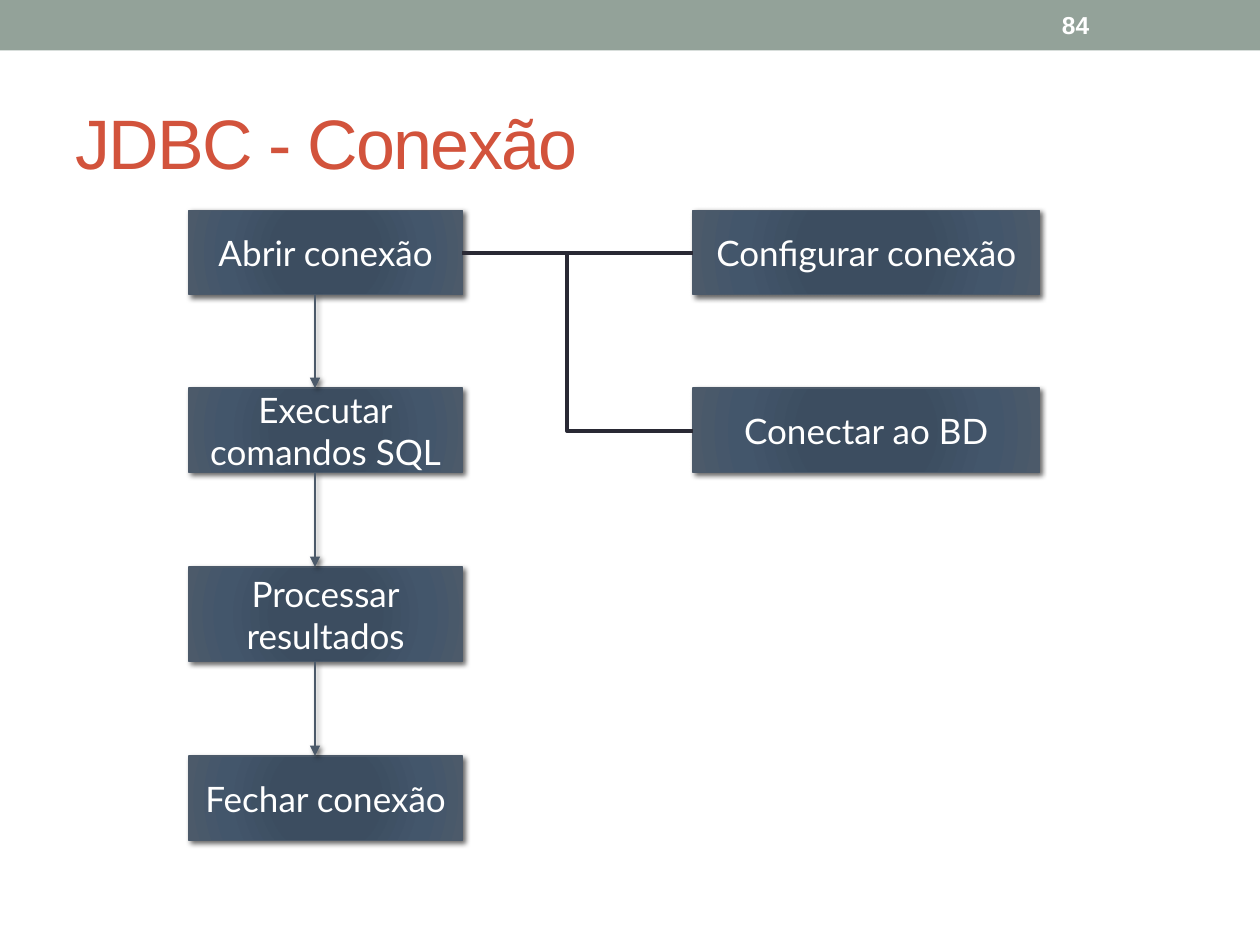
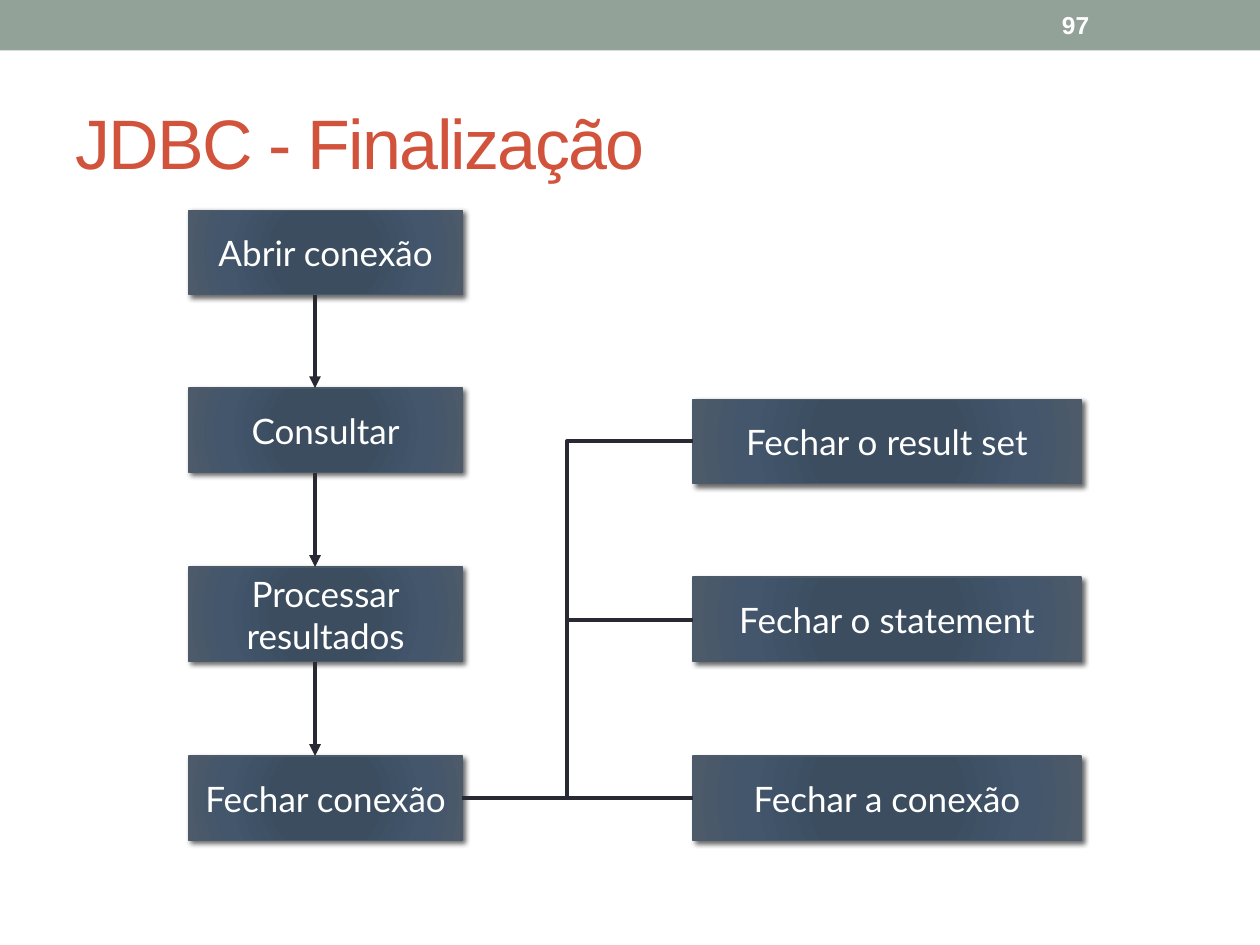
from dataclasses import dataclass
from itertools import pairwise
from typing import Any

import lxml.etree
import pptx
import pptx.dml.color
import pptx.enum.dml
import pptx.enum.shapes
import pptx.enum.text
import pptx.oxml
import pptx.oxml.ns
import pptx.shapes.autoshape
import pptx.slide
import pptx.util

Inches = pptx.util.Inches
Point = tuple[float, float]

COLORS = {
    "band": "93A299",
    "title": "D2533C",
    "white": "FFFFFF",
    "edge": "4C5A6A",
    "link": "292934",
    "shadow": "000000",
}
GRADIENT = {0: "3B4D61", 34: "3C4D60", 70: "43566B", 100: "4C5A6A"}
TITLE_FONT = {"name": "Arial", "size": pptx.util.Pt(40)}
NUMBER_FONT = {"name": "Arial", "size": pptx.util.Pt(14), "bold": True}
STEP_FONT = {"name": "Lato", "size": pptx.util.Pt(20)}
THIN, THICK = 0.75, 2.25
STEP_LEFT, STEP_WIDTH, STEP_HEIGHT, TALL_STEP = 1.5, 2.17, 0.67, 0.75
STEP_TOPS = (1.67, 3.08, 4.5, 6)
ARROW_X, TRUNK_X, DETAIL_LEFT = 2.5, 4.5, 5.5
DRAWING = pptx.oxml.ns.nsdecls("a")


@dataclass(frozen=True)
class Step:
    text: str
    top: float
    left: float = STEP_LEFT
    width: float = STEP_WIDTH
    height: float = STEP_HEIGHT

    @property
    def middle(self) -> float:
        return self.top + self.height / 2

    @property
    def bottom(self) -> float:
        return self.top + self.height


@dataclass(frozen=True)
class Flow:
    title: str
    number: str
    steps: list[Step]
    details: list[Step]
    source: int
    elbows: list[tuple[float, float]]
    arrow_color: str
    arrow_width: float
    arrow_shadow: bool


def rgb(name: str) -> pptx.dml.color.RGBColor:
    return pptx.dml.color.RGBColor.from_string(COLORS[name])


def set_text(box: Any, text: str, font: dict[str, Any], color: str,
             align: Any, wrap: bool) -> None:
    frame = box.text_frame
    frame.word_wrap = wrap
    frame.vertical_anchor = pptx.enum.text.MSO_ANCHOR.MIDDLE
    frame.text = text
    for para in frame.paragraphs:
        para.alignment = align
        for span in para.runs:
            for key, value in font.items():
                setattr(span.font, key, value)
            span.font.color.rgb = rgb(color)


def set_line(shape: Any, color: str, width: float) -> None:
    shape.line.color.rgb = rgb(color)
    shape.line.width = pptx.util.Pt(width)


def set_effects(shape: Any, shadow: bool) -> None:
    properties = shape._element.spPr
    effects = lxml.etree.SubElement(properties, pptx.oxml.ns.qn("a:effectLst"))
    if shadow:
        effects.append(pptx.oxml.parse_xml(
            f'<a:outerShdw {DRAWING} blurRad="{pptx.util.Pt(3)}" '
            f'dist="{pptx.util.Pt(2)}" dir="2700000" algn="br" rotWithShape="0">'
            f'<a:srgbClr val="{COLORS["shadow"]}"><a:alpha val="60000"/>'
            '</a:srgbClr></a:outerShdw>'))


def set_gradient(shape: pptx.shapes.autoshape.Shape) -> None:
    stops = "".join(
        f'<a:gs pos="{place * 1000}"><a:srgbClr val="{color}"/></a:gs>'
        for place, color in GRADIENT.items())
    edges = " ".join(f'{side}="100000"' for side in "ltrb")
    gradient = pptx.oxml.parse_xml(
        f'<a:gradFill {DRAWING} rotWithShape="1"><a:gsLst>{stops}</a:gsLst>'
        f'<a:path path="circle"><a:fillToRect {edges}/></a:path></a:gradFill>')
    shape.fill.background()
    properties = shape._element.spPr
    properties.replace(properties.find(pptx.oxml.ns.qn("a:noFill")), gradient)


def add_rectangle(page: pptx.slide.Slide, left: float, top: float,
                  width: float, height: float) -> pptx.shapes.autoshape.Shape:
    return page.shapes.add_shape(
        pptx.enum.shapes.MSO_SHAPE.RECTANGLE,
        Inches(left), Inches(top), Inches(width), Inches(height))


def add_frame(page: pptx.slide.Slide, flow: Flow) -> None:
    band = add_rectangle(page, 0, 0, 10, 0.4)
    band.fill.solid()
    band.fill.fore_color.rgb = rgb("band")
    band.line.fill.background()
    band.shadow.inherit = False
    left = pptx.enum.text.PP_ALIGN.LEFT
    title = page.shapes.add_textbox(Inches(0.5), Inches(0.58), Inches(9), Inches(1.08))
    set_text(title, flow.title, TITLE_FONT, "title", left, True)
    title.text_frame.paragraphs[0].runs[0].font._element.set("spc", "-100")
    number = page.shapes.add_textbox(Inches(8.33), Inches(0.02), Inches(1.17), Inches(0.36))
    set_text(number, flow.number, NUMBER_FONT, "white", left, True)


def add_step(page: pptx.slide.Slide, step: Step) -> None:
    box = add_rectangle(page, step.left, step.top, step.width, step.height)
    set_gradient(box)
    set_line(box, "edge", THIN)
    set_effects(box, True)
    set_text(box, step.text, STEP_FONT, "white", pptx.enum.text.PP_ALIGN.CENTER, False)


def add_line(page: pptx.slide.Slide, start: Point, end: Point, color: str,
             width: float, arrow: bool = False, shadow: bool = False) -> None:
    line = page.shapes.add_connector(
        pptx.enum.shapes.MSO_CONNECTOR.STRAIGHT,
        *(Inches(value) for value in (*start, *end)))
    set_line(line, color, width)
    if arrow:
        outline = line._element.spPr.find(pptx.oxml.ns.qn("a:ln"))
        lxml.etree.SubElement(outline, pptx.oxml.ns.qn("a:tailEnd"), type="triangle")
    set_effects(line, shadow)


def add_elbow(page: pptx.slide.Slide, start: float, end: float) -> None:
    builder = page.shapes.build_freeform(Inches(TRUNK_X), Inches(start))
    corners = [(TRUNK_X, end), (DETAIL_LEFT, end)]
    builder.add_line_segments(
        [(Inches(x), Inches(y)) for x, y in corners], close=False)
    elbow = builder.convert_to_shape()
    elbow.fill.background()
    set_line(elbow, "link", THICK)
    set_effects(elbow, False)


def add_flow(deck: Any, flow: Flow) -> None:
    page = deck.slides.add_slide(deck.slide_layouts[6])
    add_frame(page, flow)
    for step in flow.steps:
        add_step(page, step)
    for upper, lower in pairwise(flow.steps):
        add_line(page, (ARROW_X, upper.bottom), (ARROW_X, lower.top),
                 flow.arrow_color, flow.arrow_width, True, flow.arrow_shadow)
    for detail in flow.details:
        add_step(page, detail)
    source = flow.steps[flow.source]
    add_line(page, (source.left + source.width, source.middle),
             (DETAIL_LEFT, source.middle), "link", THICK)
    for start, end in flow.elbows:
        add_elbow(page, start, end)


def make_steps(second: str) -> list[Step]:
    texts = ("Abrir conexão", second, "Processar\nresultados", "Fechar conexão")
    heights = (STEP_HEIGHT, STEP_HEIGHT, TALL_STEP, STEP_HEIGHT)
    return [Step(text, top, height=height)
            for text, top, height in zip(texts, STEP_TOPS, heights)]


def make_details(width: float, texts: dict[str, float]) -> list[Step]:
    return [Step(text, top, DETAIL_LEFT, width) for text, top in texts.items()]


FLOWS = [
    Flow("JDBC - Conexão", "84", make_steps("Executar\ncomandos SQL"),
         make_details(2.75, {"Configurar conexão": 1.67, "Conectar ao BD": 3.08}),
         0, [(2, 3.42)], "edge", THIN, True),
    Flow("JDBC - Finalização", "97", make_steps("Consultar"),
         make_details(3.08, {"Fechar o result set": 3.17, "Fechar o statement": 4.58,
                             "Fechar a conexão": 6}),
         -1, [(6.33, 4.92), (4.92, 3.5)], "link", THICK, False),
]

deck = pptx.Presentation()
deck.slide_width, deck.slide_height = Inches(10), Inches(7.5)
for flow in FLOWS:
    add_flow(deck, flow)
deck.save("out.pptx")
